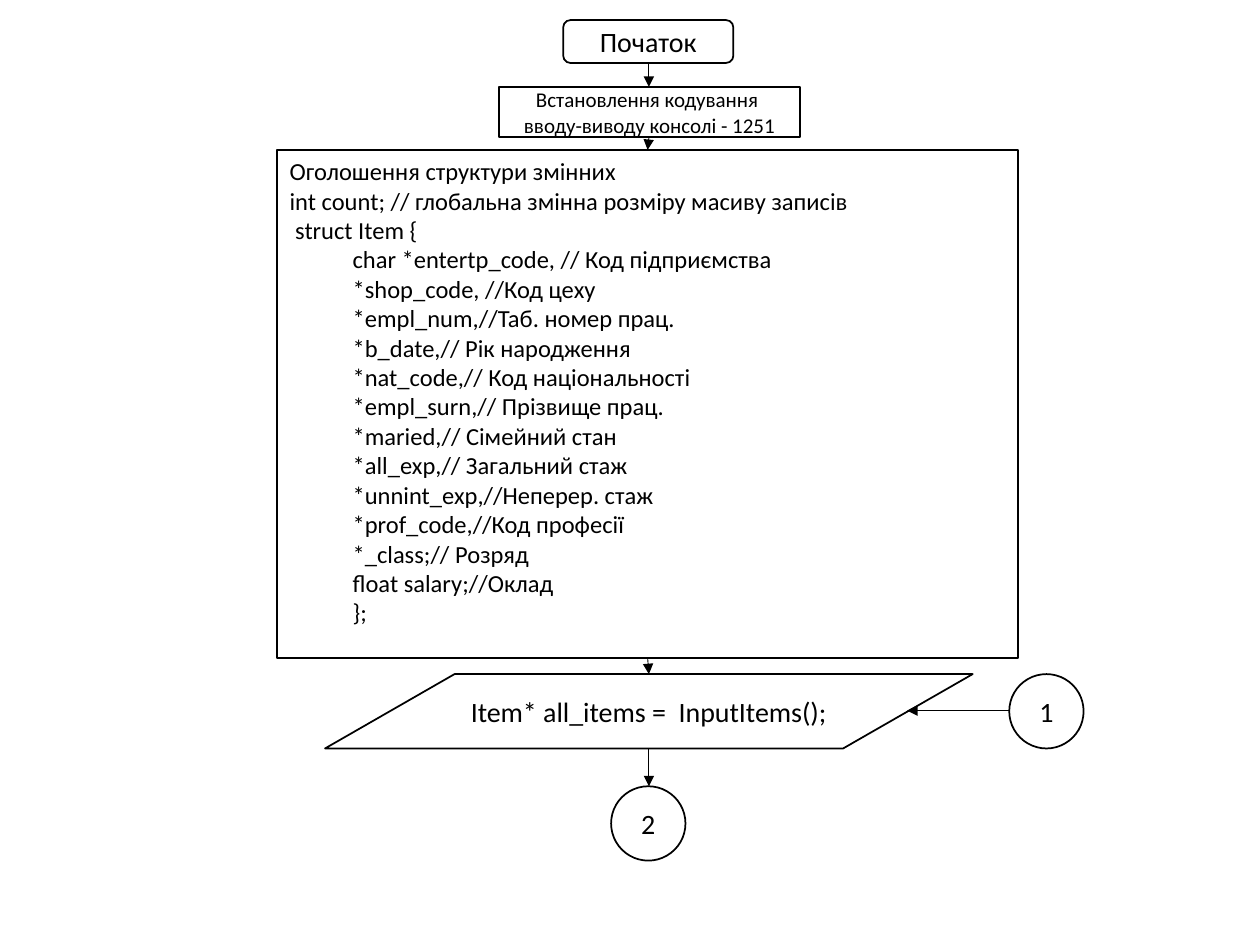
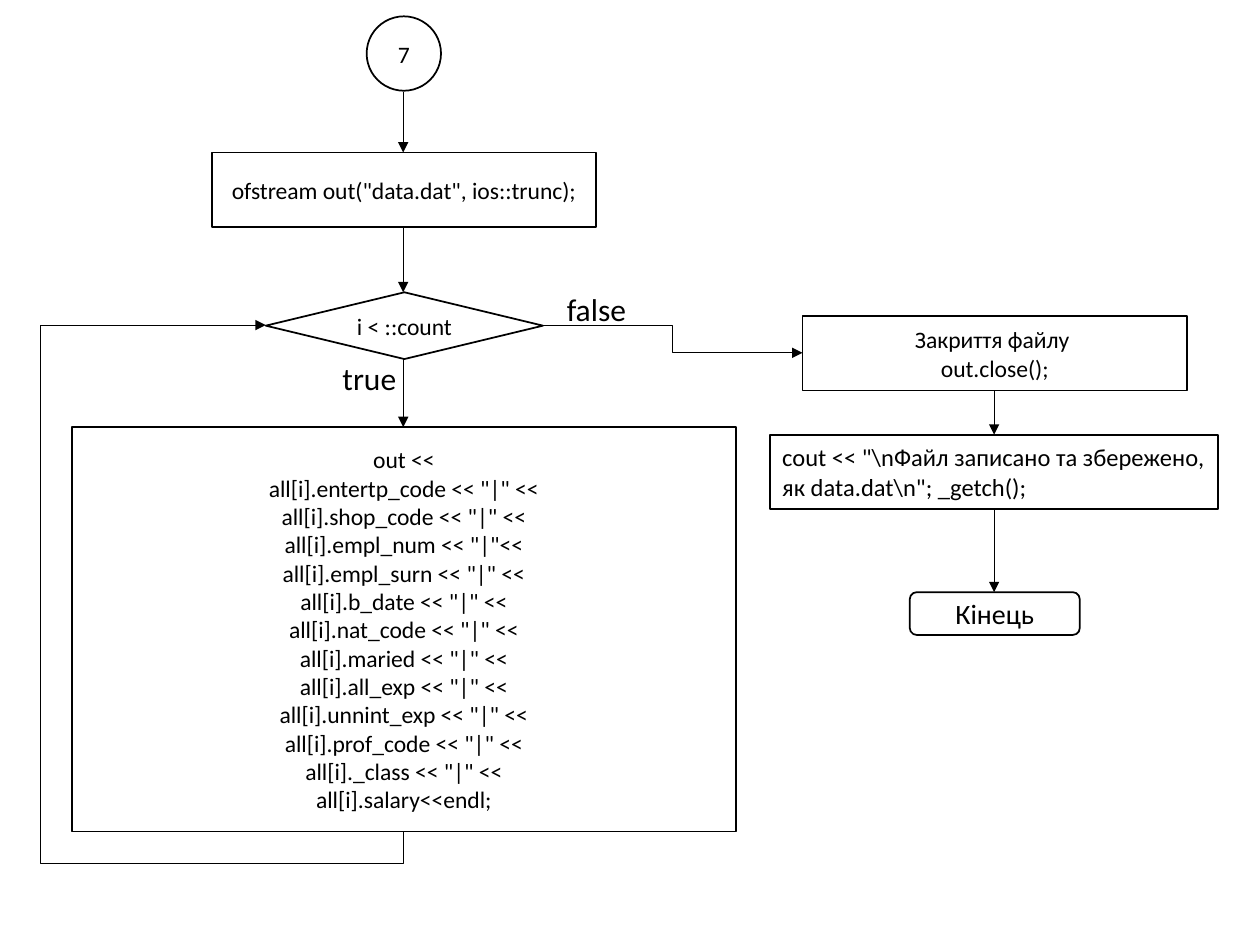
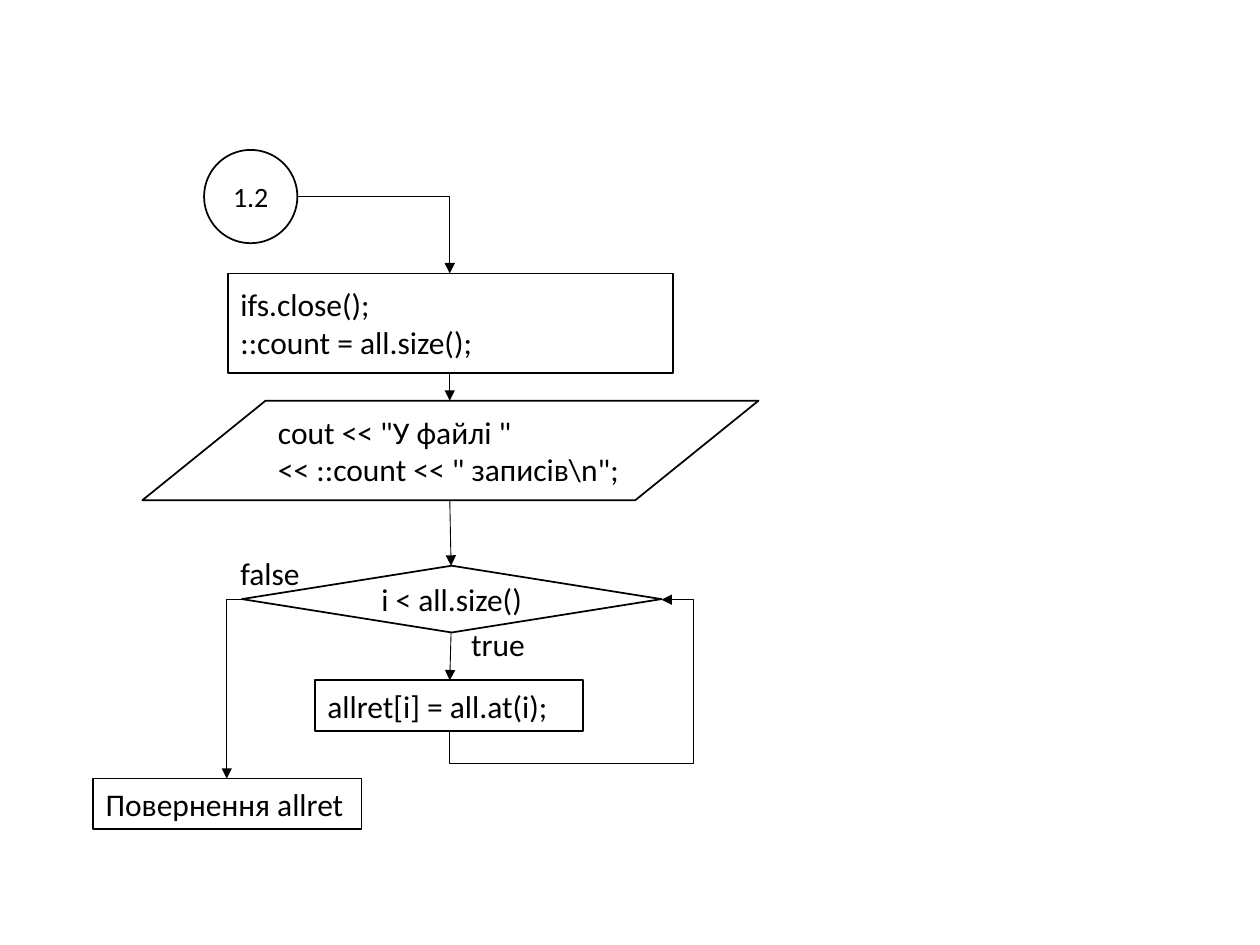
from dataclasses import dataclass

from lxml.etree import SubElement
from pptx import Presentation
from pptx.dml.color import RGBColor
from pptx.enum.shapes import MSO_CONNECTOR, MSO_SHAPE
from pptx.enum.text import MSO_ANCHOR, MSO_AUTO_SIZE, PP_ALIGN
from pptx.oxml.ns import qn
from pptx.slide import Slide
from pptx.text.text import TextFrame
from pptx.util import Emu, Pt

SCALE = 9144  # EMU in one px, 100 px to the inch


@dataclass(frozen=True)
class Theme:
    font: str = "Calibri"
    ink: RGBColor = RGBColor(0x00, 0x00, 0x00)
    paper: RGBColor = RGBColor(0xFF, 0xFF, 0xFF)
    small: float = 12
    code: float = 13.5
    body: float = 14
    head: float = 16
    large: float = 18
    edge: float = 1
    wire: float = 0.5
    tab: int = 50


THEME = Theme()
STEP = MSO_SHAPE.RECTANGLE
TASK = MSO_SHAPE.FLOWCHART_PROCESS
TEST = MSO_SHAPE.FLOWCHART_DECISION
DATA = MSO_SHAPE.FLOWCHART_DATA
ENDING = MSO_SHAPE.ROUNDED_RECTANGLE
MARK = MSO_SHAPE.OVAL


@dataclass(frozen=True)
class Node:
    """A block of the chart; lines that start with a tab are indented."""
    kind: MSO_SHAPE
    x: int
    y: int
    w: int
    h: int
    text: str
    size: float
    align: PP_ALIGN = PP_ALIGN.CENTER
    anchor: MSO_ANCHOR = MSO_ANCHOR.MIDDLE


@dataclass(frozen=True)
class Label:
    x: int
    y: int
    w: int
    text: str


@dataclass(frozen=True)
class Link:
    """An arrow; a loop drops to `low`, runs to `side` and climbs back."""
    x1: int
    y1: int
    x2: int
    y2: int
    form: str = "line"
    side: int = 0
    low: int = 0


@dataclass(frozen=True)
class Page:
    nodes: list[Node]
    links: list[Link]
    labels: list[Label]


def px(size: float) -> Emu:
    return Emu(round(size * SCALE))


def mark(x: int, y: int, text: str, size: float, span: int = 59) -> Node:
    return Node(MARK, x, y, span, span, text, size)


def ending(x: int, y: int, text: str) -> Node:
    return Node(ENDING, x, y, 135, 34, text, THEME.head)


def drop(x: int, top: int, end: int) -> Link:
    return Link(x, top, x, end)


def write(frame: TextFrame, text: str, size: float, align: PP_ALIGN) -> None:
    frame.word_wrap = True
    for i, line in enumerate(text.split("\n")):
        para = frame.paragraphs[0] if i == 0 else frame.add_paragraph()
        para.text = line.lstrip("\t")
        para.alignment = align
        if line.startswith("\t"):
            para.level = 1
            props = para.runs[0].font and para._p.get_or_add_pPr()
            props.set("marL", str(px(THEME.tab)))
            props.set("indent", "0")
        for run in para.runs:
            run.font.name = THEME.font
            run.font.size = Pt(size)
            run.font.color.rgb = THEME.ink


def draw_node(slide: Slide, node: Node) -> None:
    shape = slide.shapes.add_shape(
        node.kind, px(node.x), px(node.y), px(node.w), px(node.h))
    shape.shadow.inherit = False
    shape.fill.solid()
    shape.fill.fore_color.rgb = THEME.paper
    shape.line.color.rgb = THEME.ink
    shape.line.width = Pt(THEME.edge)
    frame = shape.text_frame
    frame.vertical_anchor = node.anchor
    if node.kind == MARK:
        frame.margin_left = frame.margin_right = px(7)
        frame.margin_top = frame.margin_bottom = px(4)
    write(frame, node.text, node.size, node.align)


def draw_label(slide: Slide, label: Label) -> None:
    box = slide.shapes.add_textbox(
        px(label.x), px(label.y), px(label.w), px(40))
    write(box.text_frame, label.text, THEME.large, PP_ALIGN.LEFT)
    box.text_frame.auto_size = MSO_AUTO_SIZE.SHAPE_TO_FIT_TEXT


def bend_loop(wire, link: Link) -> None:
    """Turn an elbow a quarter so that it leaves downwards and comes back."""
    wide, tall = abs(link.x2 - link.x1), abs(link.y2 - link.y1)
    wire.left = px((link.x1 + link.x2 - tall) / 2)
    wire.top = px((link.y1 + link.y2 - wide) / 2)
    wire.width, wire.height = px(tall), px(wide)
    frame = wire.element.spPr.find(qn("a:xfrm"))
    frame.set("rot", "5400000")
    frame.set("flipH", "1")
    frame.set("flipV", "1" if link.side > link.x1 else "0")
    shape = wire.element.spPr.find(qn("a:prstGeom"))
    shape.set("prst", "bentConnector4")
    ratios = ((link.y1 - link.low) / tall, abs(link.side - link.x1) / wide)
    for i, ratio in enumerate(ratios, 1):
        SubElement(shape.find(qn("a:avLst")), qn("a:gd"),
                   name=f"adj{i}", fmla=f"val {round(ratio * 100000)}")


def draw_link(slide: Slide, link: Link) -> None:
    kind = (MSO_CONNECTOR.STRAIGHT if link.form == "line"
            else MSO_CONNECTOR.ELBOW)
    wire = slide.shapes.add_connector(
        kind, px(link.x1), px(link.y1), px(link.x2), px(link.y2))
    wire.line.color.rgb = THEME.ink
    wire.line.width = Pt(THEME.wire)
    props = wire.element.spPr
    SubElement(props.find(qn("a:ln")), qn("a:tailEnd"), type="triangle")
    SubElement(props, qn("a:effectLst"))
    if link.form == "corner":
        props.find(qn("a:prstGeom")).set("prst", "bentConnector2")
    elif link.form == "loop":
        bend_loop(wire, link)


STRUCT = """Оголошення структури змінних
int count; // глобальна змінна розміру масиву записів
 struct Item {
\tchar *entertp_code, // Код підприємства
\t*shop_code, //Код цеху
\t*empl_num,//Таб. номер прац.
\t*b_date,// Рік народження
\t*nat_code,// Код національності
\t*empl_surn,// Прізвище прац.
\t*maried,// Сімейний стан
\t*all_exp,// Загальний стаж
\t*unnint_exp,//Неперер. стаж
\t*prof_code,//Код професії
\t*_class;// Розряд
\tfloat salary;//Оклад
\t};"""

OUTPUT = """out <<
all[i].entertp_code << "|" <<
all[i].shop_code << "|" <<
all[i].empl_num << "|"<<
all[i].empl_surn << "|" <<
all[i].b_date << "|" <<
all[i].nat_code << "|" <<
all[i].maried << "|" <<
all[i].all_exp << "|" <<
all[i].unnint_exp << "|" <<
all[i].prof_code << "|" <<
all[i]._class << "|" <<
all[i].salary<<endl;"""

START = Page(
    nodes=[
        ending(447, 16, "Початок"),
        Node(TASK, 220, 119, 588, 403, STRUCT, THEME.body,
             PP_ALIGN.LEFT, MSO_ANCHOR.TOP),
        Node(TASK, 396, 69, 239, 40,
             "Встановлення кодування \nвводу-виводу консолі - 1251",
             THEME.small),
        mark(801, 535, "1", THEME.head),
        Node(DATA, 258, 535, 514, 59,
             "Item* all_items =  InputItems();", THEME.head),
        mark(485, 624, "2", THEME.head),
    ],
    links=[
        drop(515, 50, 69),
        Link(515, 109, 514, 119),
        Link(514, 522, 515, 535),
        Link(801, 564, 720, 564),
        drop(515, 594, 624),
    ],
    labels=[],
)

SAVE = Page(
    nodes=[
        mark(291, 13, "7", THEME.code),
        Node(STEP, 168, 121, 305, 59,
             'ofstream out("data.dat", ios::trunc);', THEME.code),
        Node(TEST, 211, 232, 220, 53, "i < ::count", THEME.code),
        Node(STEP, 57, 339, 527, 321, OUTPUT, THEME.code),
        Node(STEP, 637, 251, 305, 59,
             "Закриття файлу \nout.close();", THEME.code),
        Node(STEP, 611, 345, 356, 59,
             r'cout << "\nФайл записано та збережено, як data.dat\n"; '
             "_getch();", THEME.body, PP_ALIGN.LEFT),
        ending(722, 470, "Кінець"),
    ],
    links=[
        drop(320, 73, 121),
        drop(320, 181, 232),
        drop(320, 285, 339),
        Link(320, 660, 211, 258, "loop", side=32, low=685),
        Link(430, 258, 637, 280, "step"),
        drop(789, 310, 345),
        drop(789, 405, 470),
    ],
    labels=[Label(440, 225, 73, "false"), Label(262, 280, 73, "true")],
)

LOAD = Page(
    nodes=[
        mark(162, 119, "1.2", THEME.head, 74),
        Node(TEST, 192, 449, 333, 53, "i < all.size()", THEME.large),
        Node(STEP, 181, 217, 353, 79,
             "ifs.close();\n::count = all.size();",
             THEME.large, PP_ALIGN.LEFT),
        Node(STEP, 250, 540, 213, 40,
             "allret[i] = all.at(i);", THEME.large, PP_ALIGN.LEFT),
        Node(DATA, 113, 318, 489, 79,
             r'cout << "У файлі " << ::count << " записів\n";',
             THEME.large, PP_ALIGN.LEFT),
        Node(STEP, 74, 618, 213, 40,
             "Повернення allret", THEME.large, PP_ALIGN.LEFT),
    ],
    links=[
        Link(236, 156, 357, 217, "corner"),
        Link(192, 476, 180, 618, "corner"),
        drop(357, 296, 318),
        Link(357, 397, 358, 449),
        Link(358, 502, 357, 540),
        Link(357, 581, 525, 476, "loop", side=550, low=606),
    ],
    labels=[Label(364, 491, 93, "true"), Label(181, 435, 73, "false")],
)


def main() -> None:
    deck = Presentation()
    deck.slide_width, deck.slide_height = px(1000), px(750)
    for page in (START, SAVE, LOAD):
        slide = deck.slides.add_slide(deck.slide_layouts[6])
        slide.background.fill.solid()
        slide.background.fill.fore_color.rgb = THEME.paper
        for node in page.nodes:
            draw_node(slide, node)
        for link in page.links:
            draw_link(slide, link)
        for label in page.labels:
            draw_label(slide, label)
    deck.save("out.pptx")


if __name__ == "__main__":
    main()
